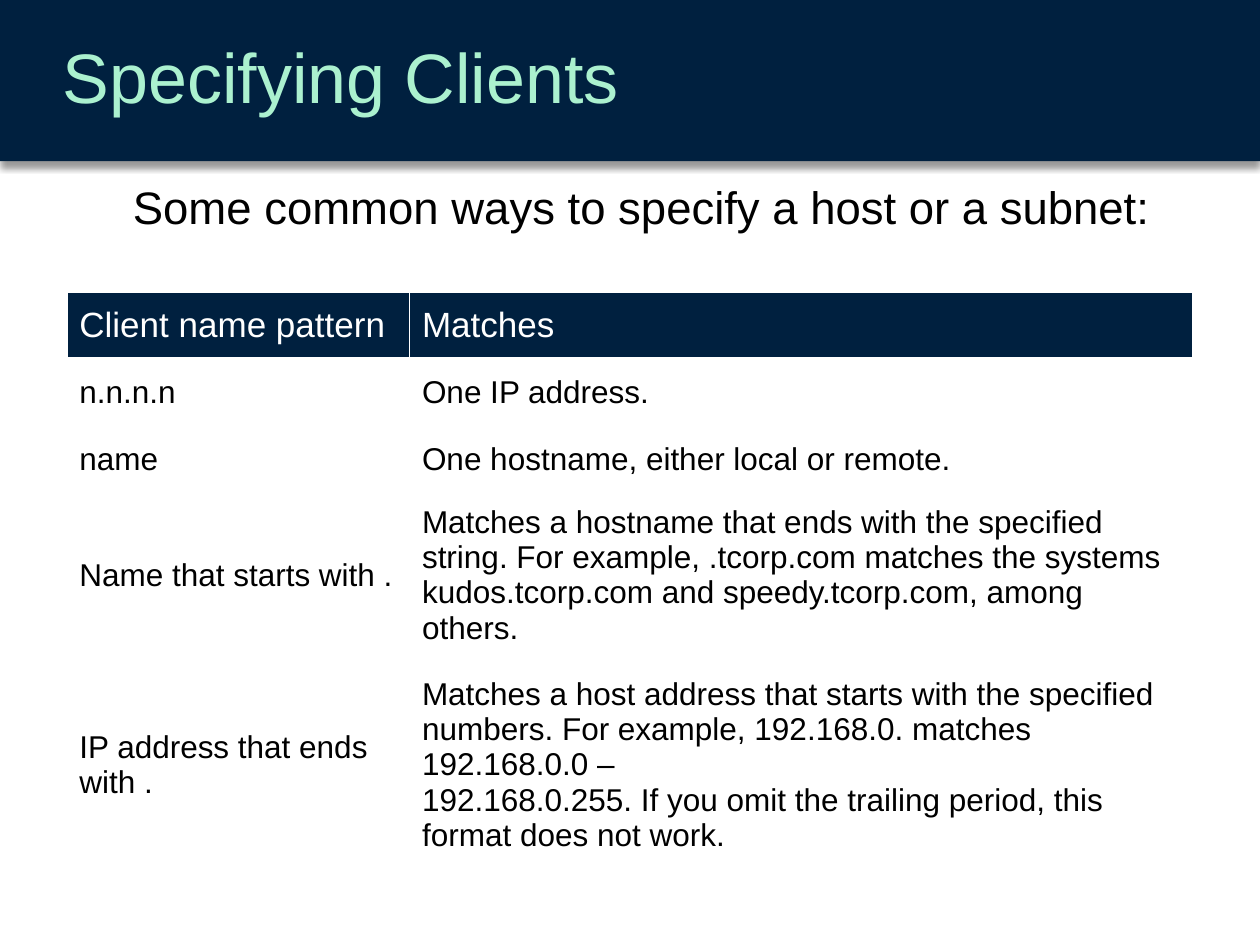
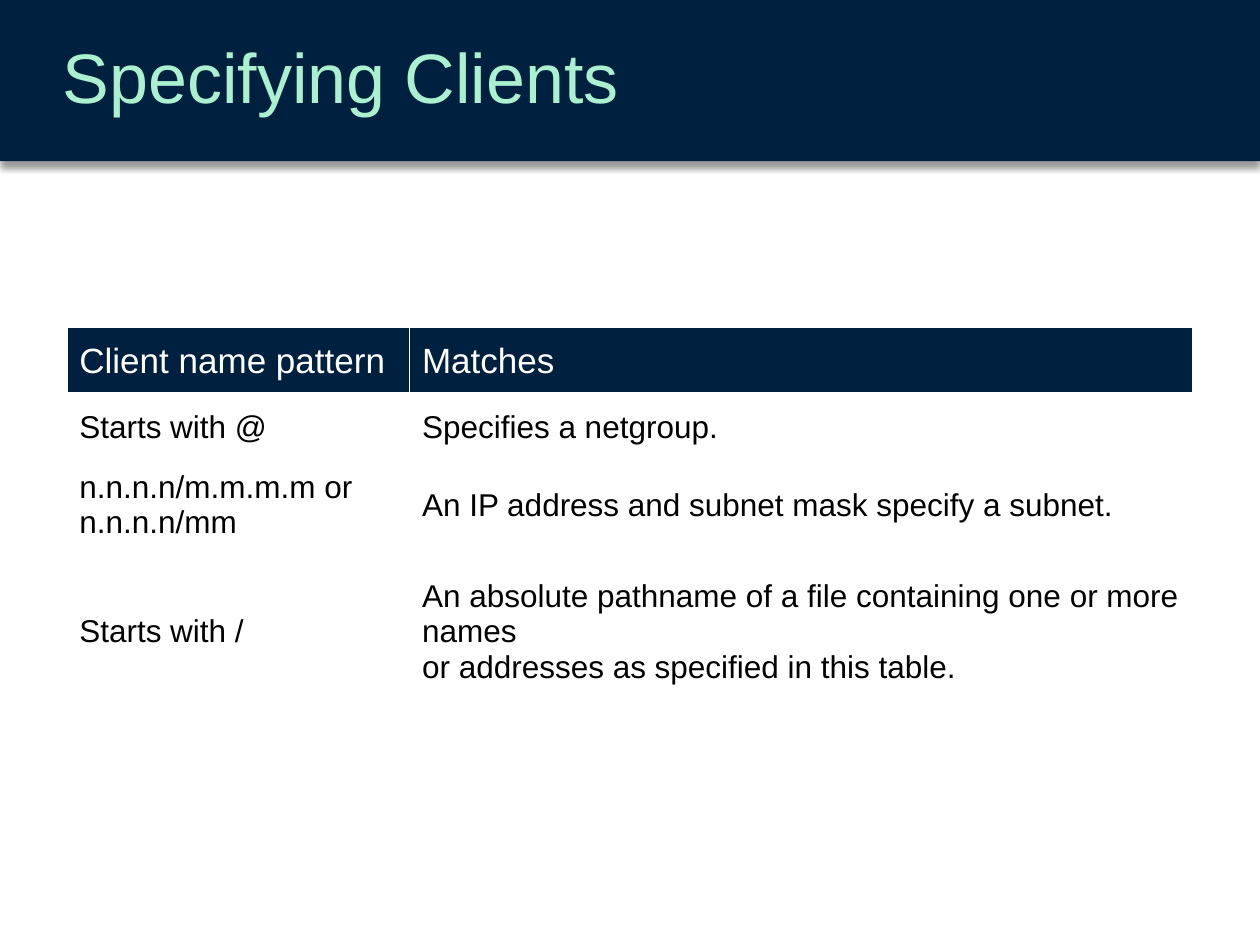
from dataclasses import dataclass

from lxml.etree import SubElement
from pptx import Presentation
from pptx.dml.color import RGBColor
from pptx.enum.shapes import MSO_SHAPE
from pptx.enum.text import MSO_ANCHOR, PP_ALIGN
from pptx.oxml import parse_xml
from pptx.oxml.ns import nsdecls, qn
from pptx.slide import Slide
from pptx.table import _Cell
from pptx.text.text import TextFrame
from pptx.util import Pt

NAVY = "00203F"
MINT = "ABF1CF"
WHITE = "FFFFFF"
BLACK = "000000"
FONT = "Arial"
PAGE_WIDTH, PAGE_HEIGHT = 720, 540
BAND_HEIGHT = 92.16
TEXT_LEFT = 28.8
TABLE_LEFT = 38.16
COLUMN_WIDTHS = (195.84, 447.84)
ROW_HEIGHT = 38.16
HEADER = ("Client name pattern", "Matches")
TITLE = "Specifying Clients"


@dataclass(frozen=True)
class TextStyle:
    """Look of all paragraphs in a box or cell."""

    size: float
    color: str
    align: PP_ALIGN = PP_ALIGN.LEFT
    anchor: MSO_ANCHOR = MSO_ANCHOR.MIDDLE
    line_spacing: float = 1.0


@dataclass(frozen=True)
class PatternRow:
    """A client name pattern and what it matches."""

    pattern: str
    matches: str
    height: float = ROW_HEIGHT


@dataclass(frozen=True)
class ClientPage:
    """One slide with its pattern table and optional lead line."""

    table_top: float
    rows: tuple[PatternRow, ...]
    lead: str = ""


TITLE_STYLE = TextStyle(40, MINT, line_spacing=0.9)
LEAD_STYLE = TextStyle(26, BLACK, PP_ALIGN.CENTER, MSO_ANCHOR.TOP, 0.9)
HEADER_STYLE = TextStyle(20, WHITE)
BODY_STYLE = TextStyle(18, BLACK)

PAGES = (
    ClientPage(
        167.04,
        (
            PatternRow("n.n.n.n", "One IP address."),
            PatternRow("name", "One hostname, either local or remote."),
            PatternRow(
                "Name that starts with .",
                "Matches a hostname that ends with the specified string. "
                "For example, .tcorp.com matches the systems "
                "kudos.tcorp.com and speedy.tcorp.com, among others.",
                94.32,
            ),
            PatternRow(
                "IP address that ends with .",
                "Matches a host address that starts with the specified numbers. "
                "For example, 192.168.0. matches 192.168.0.0 –\n"
                "192.168.0.255. If you omit the trailing period, "
                "this format does not work.",
                122.4,
            ),
        ),
        "Some common ways to specify a host or a subnet:",
    ),
    ClientPage(
        187.2,
        (
            PatternRow("Starts with @", "Specifies a netgroup."),
            PatternRow(
                "n.n.n.n/m.m.m.m or n.n.n.n/mm",
                "An IP address and subnet mask specify a subnet.",
            ),
            PatternRow(
                "Starts with /",
                "An absolute pathname of a file containing one or more names\n"
                "or addresses as specified in this table.",
                94.32,
            ),
        ),
    ),
)


def color(value: str) -> RGBColor:
    """Turn a hex string into a colour."""
    return RGBColor.from_string(value)


def write(frame: TextFrame, text: str, style: TextStyle) -> None:
    """Fill a text frame and style its paragraphs."""
    frame.text = text
    for para in frame.paragraphs:
        para.alignment = style.align
        para.line_spacing = style.line_spacing
        para.font.name = FONT
        para.font.size = Pt(style.size)
        para.font.color.rgb = color(style.color)


def add_text(page: Slide, top: float, width: float, height: float,
             text: str, style: TextStyle) -> None:
    """Add a wrapping text box at the common left edge."""
    box = page.shapes.add_textbox(Pt(TEXT_LEFT), Pt(top), Pt(width), Pt(height))
    box.text_frame.word_wrap = True
    box.text_frame.vertical_anchor = style.anchor
    write(box.text_frame, text, style)


def add_band(page: Slide) -> None:
    """Draw the title band with its soft shadow."""
    band = page.shapes.add_shape(
        MSO_SHAPE.RECTANGLE, Pt(0), Pt(0), Pt(PAGE_WIDTH), Pt(BAND_HEIGHT))
    band.fill.solid()
    band.fill.fore_color.rgb = color(NAVY)
    band.line.fill.background()
    band.shadow.inherit = False
    effects = band._element.spPr.find(qn("a:effectLst"))
    effects.append(parse_xml(
        f'<a:outerShdw {nsdecls("a")} blurRad="{Pt(4)}" dist="{Pt(3)}" '
        f'dir="5400000" algn="t" rotWithShape="0"><a:srgbClr val="{BLACK}">'
        '<a:alpha val="40000"/></a:srgbClr></a:outerShdw>'))


def set_borders(cell: _Cell, top: float, bottom: float) -> None:
    """Give a cell white borders."""
    properties = cell._tc.get_or_add_tcPr()
    widths = {"lnL": 1, "lnR": 1, "lnT": top, "lnB": bottom}
    for side, width in widths.items():
        line = SubElement(properties, qn(f"a:{side}"), w=str(Pt(width)))
        fill = SubElement(line, qn("a:solidFill"))
        SubElement(fill, qn("a:srgbClr"), val=WHITE)


def add_pattern_table(page: Slide, top: float, rows: tuple[PatternRow, ...]) -> None:
    """Add the table of client patterns below its header."""
    lines = (PatternRow(*HEADER), *rows)
    table = page.shapes.add_table(
        len(lines), len(COLUMN_WIDTHS), Pt(TABLE_LEFT), Pt(top),
        Pt(sum(COLUMN_WIDTHS)), Pt(sum(line.height for line in lines))).table
    table.first_row = False
    table.horz_banding = False
    for column, width in zip(table.columns, COLUMN_WIDTHS):
        column.width = Pt(width)
    for index, line in enumerate(lines):
        is_header = index == 0
        table.rows[index].height = Pt(line.height)
        for cell, text in zip(table.rows[index].cells, (line.pattern, line.matches)):
            set_borders(cell, 3 if index == 1 else 1, 3 if is_header else 1)
            cell.fill.solid()
            cell.fill.fore_color.rgb = color(NAVY if is_header else WHITE)
            cell.vertical_anchor = MSO_ANCHOR.MIDDLE
            write(cell.text_frame, text, HEADER_STYLE if is_header else BODY_STYLE)


def main() -> None:
    """Build and save the deck."""
    deck = Presentation()
    deck.slide_width, deck.slide_height = Pt(PAGE_WIDTH), Pt(PAGE_HEIGHT)
    for content in PAGES:
        page = deck.slides.add_slide(deck.slide_layouts[6])
        add_band(page)
        add_text(page, 0, PAGE_WIDTH - TEXT_LEFT, BAND_HEIGHT, TITLE, TITLE_STYLE)
        if content.lead:
            add_text(page, 102.24, 676.08, 425.52, content.lead, LEAD_STYLE)
        add_pattern_table(page, content.table_top, content.rows)
    deck.save("out.pptx")


if __name__ == "__main__":
    main()
